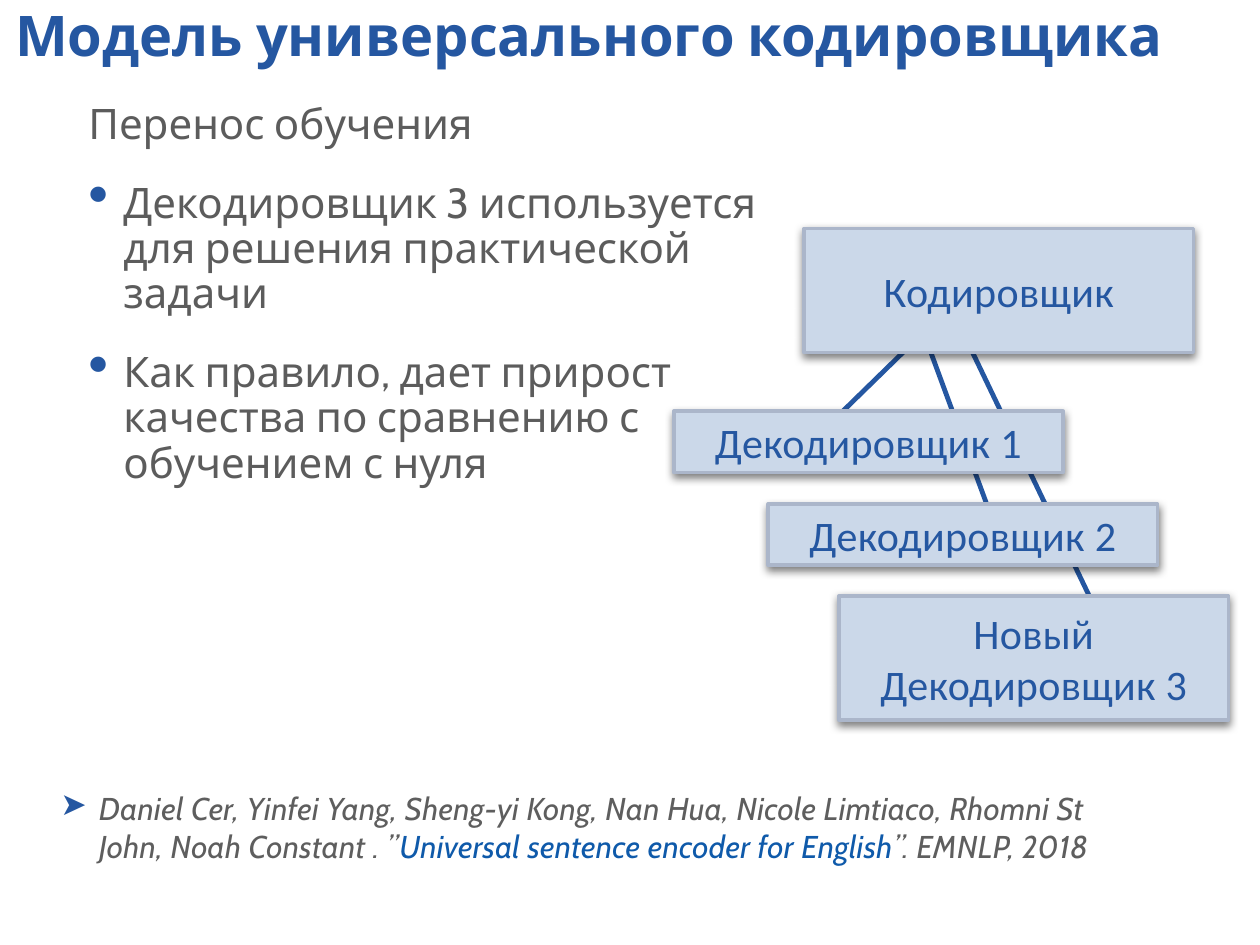
import pptx
import pptx.util
import pptx.dml.color
import pptx.enum.shapes
import pptx.enum.text
import pptx.oxml
import pptx.oxml.ns
from lxml import etree

Pt = pptx.util.Pt
Rgb = pptx.dml.color.RGBColor.from_string
Align = pptx.enum.text.PP_ALIGN
Anchor = pptx.enum.text.MSO_ANCHOR
Auto = pptx.enum.text.MSO_AUTO_SIZE
qn = pptx.oxml.ns.qn


class Theme:
    blue, body, cite, link = "2557A1", "5C5C5C", "5E5E5E", "0F5AAA"
    fill, edge = "CBD8E9", "ABB6CA"
    title = dict(name="Cabin", size=Pt(32), bold=True)
    text = dict(name="Cabin", size=Pt(24))
    source = dict(name="Cabin", size=Pt(18), italic=True)
    label = dict(name="Calibri", size=Pt(24))


def apply(target, values):
    for name, value in values.items():
        setattr(target, name, value)


def setup(frame, inset, **more):
    sides = ("left", "top", "right", "bottom")
    apply(frame, {f"margin_{side}": Pt(inset) for side in sides})
    apply(frame, dict(word_wrap=True, **more))


def text_box(slide, box, inset, **more):
    frame = slide.shapes.add_textbox(*map(Pt, box)).text_frame
    setup(frame, inset, **more)
    return frame


def add_run(para, text, style, color, track=None):
    run = para.add_run()
    run.text = text
    apply(run.font, style)
    run.font.color.rgb = Rgb(color)
    if track:
        run._r.get_or_add_rPr().set("spc", str(track))


def add_bullet(para, char, indent, scale=100):
    props = para._p.get_or_add_pPr()
    props.set("marL", str(Pt(indent)))
    props.set("indent", str(-Pt(indent)))
    tint = etree.SubElement(props, qn("a:buClr"))
    etree.SubElement(tint, qn("a:srgbClr"), val=Theme.blue)
    etree.SubElement(props, qn("a:buSzPct"), val=str(scale * 1000))
    etree.SubElement(props, qn("a:buChar"), char=char)


def add_title(slide, box, text):
    para = text_box(slide, box, 3.6).paragraphs[0]
    para._p.get_or_add_pPr().set("indent", str(Pt(6)))
    para.line_spacing = 0.9
    add_run(para, text, Theme.title, Theme.blue)


def add_body(slide, box, head, points):
    frame = text_box(slide, box, 2, auto_size=Auto.SHAPE_TO_FIT_TEXT)
    para = frame.paragraphs[0]
    para.line_spacing = 0.9
    add_run(para, head, Theme.text, Theme.body)
    for point in points:
        para = frame.add_paragraph()
        add_bullet(para, "•", 20, 140)
        apply(para, dict(line_spacing=0.9, space_before=Pt(19)))
        add_run(para, point, Theme.text, Theme.body)


def add_source(slide, box, parts):
    frame = text_box(slide, box, 2, vertical_anchor=Anchor.MIDDLE,
                     auto_size=Auto.SHAPE_TO_FIT_TEXT)
    para = frame.paragraphs[0]
    add_bullet(para, "➤", 22)
    for text, color in parts:
        add_run(para, text, Theme.source, color, 20)


def add_line(slide, start, end):
    kind = pptx.enum.shapes.MSO_CONNECTOR.STRAIGHT
    line = slide.shapes.add_connector(kind, *map(Pt, start + end))
    line.line.width = Pt(2.75)
    line.line.color.rgb = Rgb(Theme.blue)
    etree.SubElement(line._element.spPr, qn("a:effectLst"))


def add_block(slide, box, text):
    kind = pptx.enum.shapes.MSO_SHAPE.RECTANGLE
    block = slide.shapes.add_shape(kind, *map(Pt, box))
    block.fill.solid()
    block.fill.fore_color.rgb = Rgb(Theme.fill)
    block.line.width = Pt(2)
    block.line.color.rgb = Rgb(Theme.edge)
    block.shadow.inherit = False
    effects = block._element.spPr.find(qn("a:effectLst"))
    shade = etree.SubElement(effects, qn("a:outerShdw"), blurRad=str(Pt(5)),
                             dist=str(Pt(2)), dir="5400000", rotWithShape="0")
    tint = etree.SubElement(shade, qn("a:srgbClr"), val="000000")
    etree.SubElement(tint, qn("a:alpha"), val="50000")
    setup(block.text_frame, 2, vertical_anchor=Anchor.MIDDLE)
    para = block.text_frame.paragraphs[0]
    para.alignment = Align.CENTER
    add_run(para, text, Theme.label, Theme.blue, 20)


def add_model(slide, box):
    left, top, width, height = box
    wide, tall, low = 222.5, 71, 35
    lines = (
        ((247, 230), (166, 61)),
        ((91.5, 109.5), (135, 67)),
        ((186, 177), (145.5, 67)),
    )
    blocks = (
        ("Кодировщик", 74.5, 0, tall),
        ("Декодировщик 1", 0, 104.5, low),
        ("Декодировщик 2", 54, 157.5, low),
        ("Новый Декодировщик 3", width - wide, height - tall, tall),
    )
    for ends in lines:
        add_line(slide, *((left + x, top + y) for x, y in ends))
    for text, x, y, high in blocks:
        add_block(slide, (left + x, top + y, wide, high), text)


def main():
    deck = pptx.Presentation()
    apply(deck, dict(slide_width=Pt(720), slide_height=Pt(540)))
    slide = deck.slides.add_slide(deck.slide_layouts[6])
    add_body(slide, (48.5, 57, 410, 199.5), "Перенос обучения", (
        "Декодировщик 3 используется для решения практической задачи",
        "Как правило, дает прирост качества по сравнению с обучением с нуля",
    ))
    add_title(slide, (-1, 1, 719, 43), "Модель универсального кодировщика")
    add_source(slide, (32.5, 438, 608.5, 69), (
        ("Daniel Cer, Yinfei Yang, Sheng-yi Kong, Nan Hua, Nicole Limtiaco, "
         "Rhomni St John, Noah Constant . ”", Theme.cite),
        ("Universal sentence encoder for English", Theme.link),
        ("”. EMNLP, 2018", Theme.cite),
    ))
    add_model(slide, (385, 130.5, 317, 281))
    deck.save("out.pptx")


if __name__ == "__main__":
    main()
